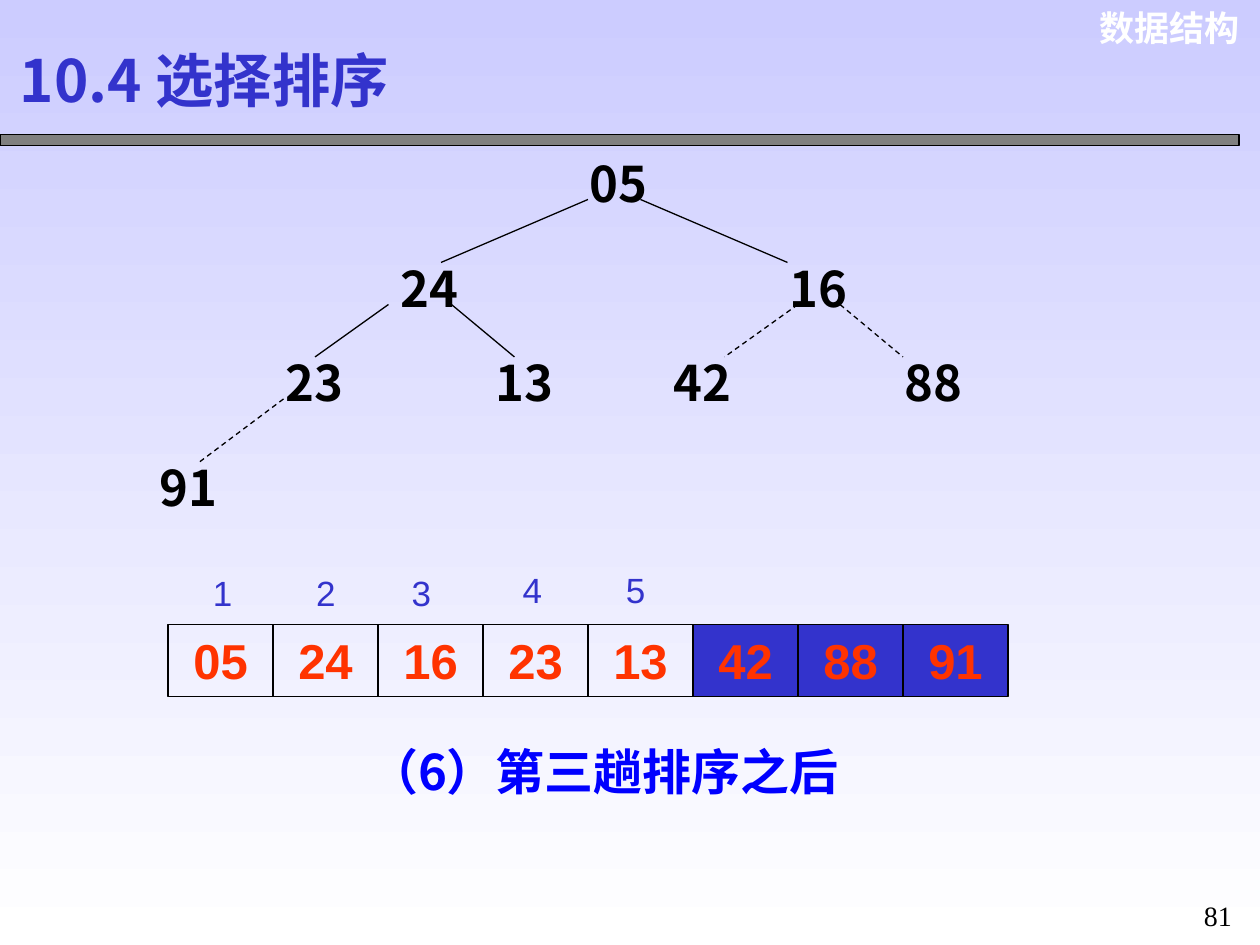
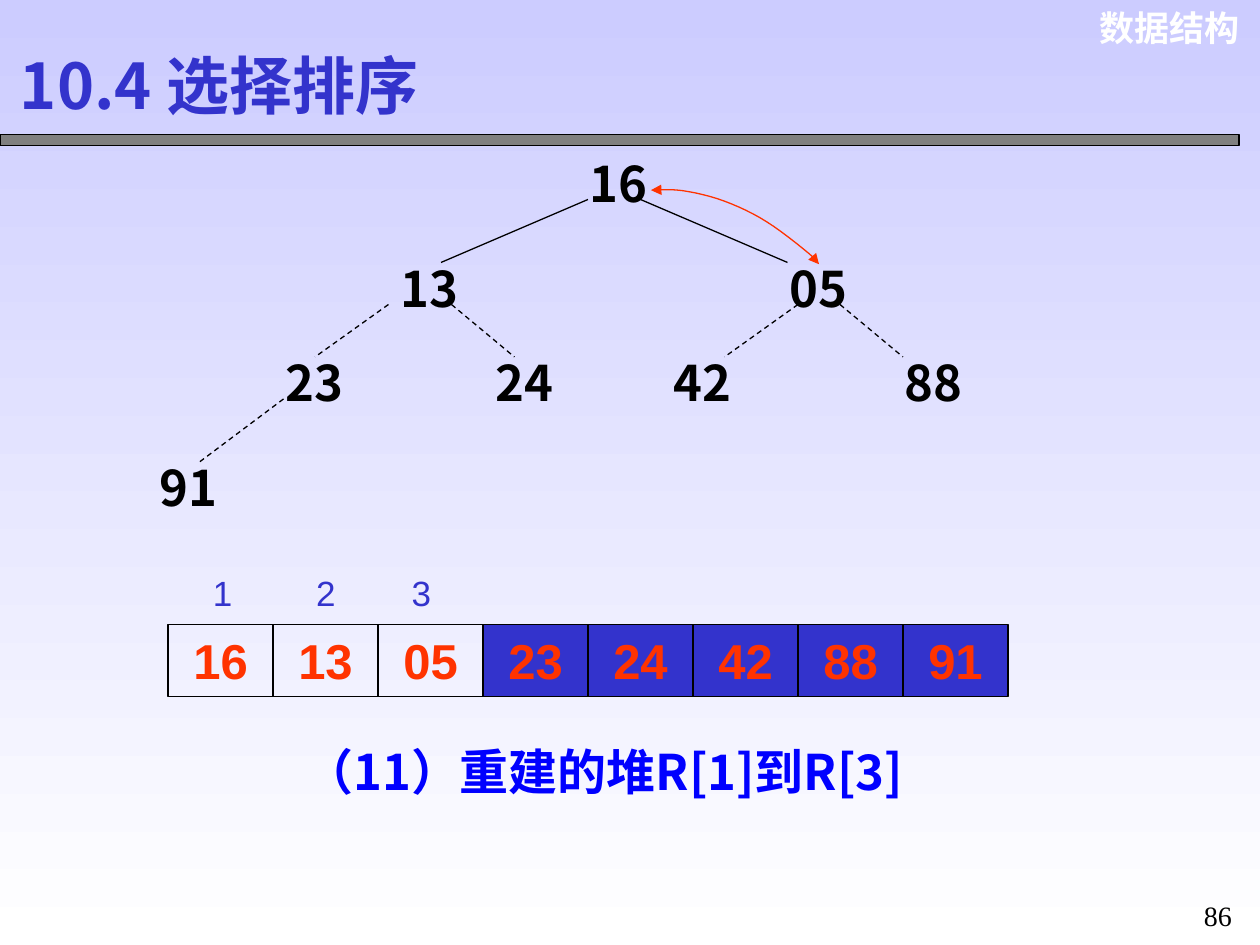
from lxml import etree
from pptx import Presentation
from pptx.dml.color import RGBColor
from pptx.enum.dml import MSO_LINE
from pptx.enum.shapes import MSO_CONNECTOR, MSO_SHAPE
from pptx.enum.text import MSO_ANCHOR, PP_ALIGN
from pptx.oxml.ns import qn
from pptx.util import Pt

LEFT, CENTER, RIGHT = PP_ALIGN.LEFT, PP_ALIGN.CENTER, PP_ALIGN.RIGHT
TOP, MIDDLE = MSO_ANCHOR.TOP, MSO_ANCHOR.MIDDLE
DASH, STRAIGHT, RECTANGLE = MSO_LINE.DASH, MSO_CONNECTOR.STRAIGHT, MSO_SHAPE.RECTANGLE

color = RGBColor.from_string
BLACK, WHITE, GRAY = "000000", "FFFFFF", "808080"
INDIGO, BLUE, RED, LAVENDER = "3333CC", "0000FF", "FF3300", "CCCCFF"
CJK = "Noto Sans CJK SC"

# Text formats: font attributes, colour and alignment
HEADER = ({"name": "Arial", "size": Pt(20), "bold": True}, WHITE, RIGHT)
CAPTION = ({"name": CJK, "size": Pt(28), "bold": True}, BLUE, CENTER)
NODE = ({"name": CJK, "size": Pt(28), "bold": True}, BLACK, LEFT)
CELL = ({"name": "Arial", "size": Pt(28), "bold": True}, RED, CENTER)
INDEX = ({"name": "Arial", "size": Pt(20)}, INDIGO, LEFT)
PAGE = ({"name": "Times New Roman", "size": Pt(16)}, BLACK, CENTER)

# Heap layout: node corners, and edges as (child, start, end)
NODES = [(330, 84), (222, 144), (444, 144), (156, 198),
         (276, 198), (378, 198), (510, 198), (84, 258)]
EDGES = [(1, (336, 114), (252, 150)), (2, (366, 114), (450, 150)),
         (3, (222, 174), (180, 204)), (4, (258, 174), (294, 204)),
         (5, (456, 174), (414, 204)), (6, (480, 174), (516, 204)),
         (7, (162, 228), (114, 264))]
INDEX_CORNERS = [(114.5, 323.3), (173.5, 323.3), (228.2, 323.3),
                 (291.6, 321.1), (350.6, 321.1)]
CELL_LEFT, CELL_TOP, CELL_WIDTH, ROW_HEIGHT = 96, 357, 60, 41

# Swap arrow: start point, then Bézier segments
SWAP_START = (372, 108.7)
SWAP_CURVES = [((377, 108.6), (383, 108), (390, 109)),
               ((397, 110), (406, 112), (414, 115)),
               ((422, 118), (430, 121.7), (438, 126.7)),
               ((446, 131.7), (457, 140.5), (462, 144.7)),
               ((467, 149), (467.3, 149.4), (468, 151))]
CURVE_STEPS = 6

SLIDES = [
    {"title_size": 33.3, "title_spacing": 0.9, "page": "81",
     "caption": "（6）第三趟排序之后", "heap_size": 5, "swap": False,
     "values": ["05", "24", "16", "23", "13", "42", "88", "91"]},
    {"title_size": 36, "title_spacing": None, "page": "86",
     "caption": "（11）重建的堆R[1]到R[3]", "heap_size": 3, "swap": True,
     "values": ["16", "13", "05", "23", "24", "42", "88", "91"]},
]


def write(shape, text, text_format, anchor=TOP, spacing=None):
    font_values, font_color, alignment = text_format
    frame = shape.text_frame
    frame.word_wrap = True
    frame.vertical_anchor = anchor
    paragraph = frame.paragraphs[0]
    paragraph.alignment = alignment
    paragraph.line_spacing = spacing
    run = paragraph.add_run()
    run.text = text
    for name, value in font_values.items():
        setattr(run.font, name, value)
    run.font.color.rgb = color(font_color)
    etree.SubElement(run.font._element, qn("a:ea"), typeface=CJK)


def add_box(slide, left, top, width, height, fill=None):
    shape = slide.shapes.add_shape(RECTANGLE, Pt(left), Pt(top), Pt(width), Pt(height))
    shape.shadow.inherit = False
    if fill:
        shape.fill.solid()
        shape.fill.fore_color.rgb = color(fill)
    else:
        shape.fill.background()
    shape.line.color.rgb = color(BLACK)
    shape.line.width = Pt(0.75)
    return shape


presentation = Presentation()
presentation.slide_width, presentation.slide_height = Pt(720), Pt(540)

# Shared background: vertical gradient on the master
background = presentation.slide_master.background.fill
background.gradient()
background.gradient_angle = 270
for stop, stop_color in zip(background.gradient_stops, (LAVENDER, WHITE)):
    stop.color.rgb = color(stop_color)

for content in SLIDES:
    slide = presentation.slides.add_slide(presentation.slide_layouts[6])
    heap_size, values = content["heap_size"], content["values"]
    title = ({"name": CJK, "size": Pt(content["title_size"]), "bold": True}, INDIGO, LEFT)

    # Title band, header, caption, page number, tree nodes and indexes
    add_box(slide, 0, 77, 708, 6, GRAY)
    texts = [
        ("数据结构", (617, 0, 98.6, 32), HEADER, TOP, None),
        ("10.4 选择排序", (4.3, 21, 268, 54), title, MIDDLE, content["title_spacing"]),
        (content["caption"], (138, 420, 414, ROW_HEIGHT), CAPTION, TOP, None),
        (content["page"], (678, 504, 36, 32), PAGE, TOP, 1.3),
    ]
    for value, corner in zip(values, NODES):
        texts.append((value, (*corner, 48, ROW_HEIGHT), NODE, TOP, None))
    for number, corner in enumerate(INDEX_CORNERS[:heap_size], 1):
        texts.append((str(number), (*corner, 26, 32), INDEX, TOP, None))
    for text, box, text_format, anchor, spacing in texts:
        text_box = slide.shapes.add_textbox(*map(Pt, box))
        write(text_box, text, text_format, anchor, spacing)

    # Tree edges, dashed where the child has left the heap
    for child, start, end in EDGES:
        edge = slide.shapes.add_connector(STRAIGHT, *map(Pt, start + end))
        edge.line.color.rgb = color(BLACK)
        edge.line.width = Pt(0.75)
        if child >= heap_size:
            edge.line.dash_style = DASH
        etree.SubElement(edge._element.spPr, qn("a:effectLst"))

    # Array cells, filled where already sorted
    for position, value in enumerate(values):
        cell = add_box(slide, CELL_LEFT + position * CELL_WIDTH, CELL_TOP, CELL_WIDTH,
                       ROW_HEIGHT, INDIGO if position >= heap_size else None)
        write(cell, value, CELL)

    # Double-headed swap arrow between the root and the last heap node
    if content["swap"]:
        points, start = [], SWAP_START
        for first, second, end in SWAP_CURVES:
            for step in range(1, CURVE_STEPS + 1):
                t = step / CURVE_STEPS
                points.append(tuple(
                    Pt((1 - t) ** 3 * a + 3 * (1 - t) ** 2 * t * b
                       + 3 * (1 - t) * t ** 2 * c + t ** 3 * d)
                    for a, b, c, d in zip(start, first, second, end)))
            start = end
        builder = slide.shapes.build_freeform(*map(Pt, SWAP_START))
        builder.add_line_segments(points, close=False)
        arrow = builder.convert_to_shape()
        arrow.shadow.inherit = False
        arrow.fill.background()
        arrow.line.color.rgb = color(RED)
        arrow.line.width = Pt(0.75)
        for tag in ("a:headEnd", "a:tailEnd"):
            etree.SubElement(arrow.line._get_or_add_ln(), qn(tag), type="triangle")

presentation.save("out.pptx")
